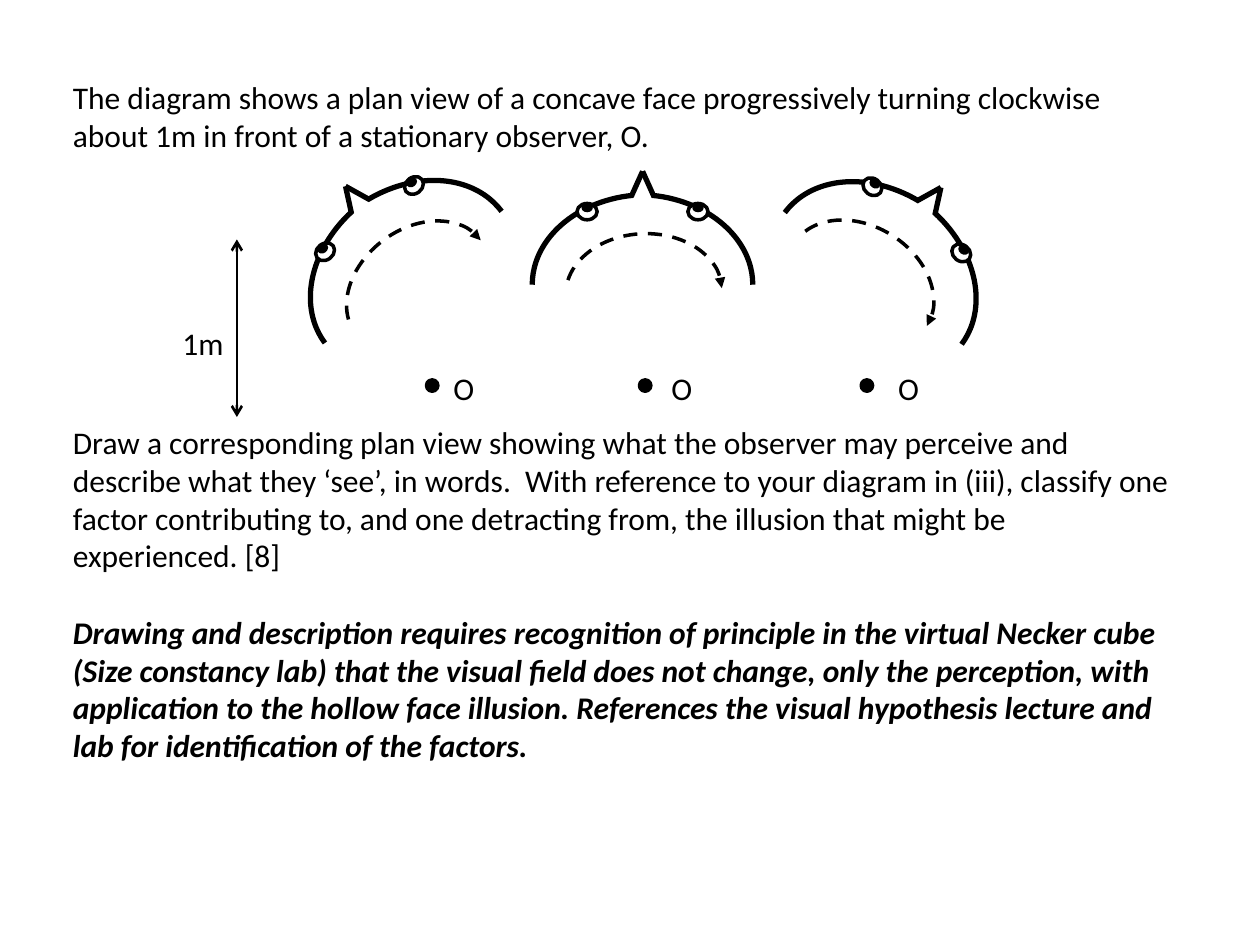
import math
from dataclasses import dataclass

import lxml.etree
import pptx
import pptx.dml.color
import pptx.enum.dml
import pptx.enum.shapes
import pptx.oxml.ns
import pptx.util

Inches = pptx.util.Inches
Pt = pptx.util.Pt
SHAPES = pptx.enum.shapes.MSO_SHAPE


@dataclass(frozen=True)
class Theme:
    ink: str = "000000"
    paper: str = "FFFFFF"
    font: str = "Calibri"
    text_size: float = 18
    text_line: float = 22
    face_line: float = 3
    detail_line: float = 2
    scale_line: float = 1.5


THEME = Theme()

INTRO = ("The diagram shows a plan view of a concave face progressively turning "
         "clockwise about 1m in front of a stationary observer, O. ")
TASK = ("Draw a corresponding plan view showing what the observer may perceive and "
        "describe what they ‘see’, in words.  With reference to your diagram in (iii), "
        "classify one factor contributing to, and one detracting from, the illusion "
        "that might be experienced. [8]")
ANSWER = ("Drawing and description requires recognition of principle in the virtual "
          "Necker cube (Size constancy lab) that the visual field does not change, only "
          "the perception, with application to the hollow face illusion. References the "
          "visual hypothesis lecture and lab for identification of the factors.")

FACES = [((3.28, 2.2), -36.7), ((5.1, 2.26), 0), ((6.93, 2.21), 36.7)]
TURNS = [((3.32, 2.28), -36.9), ((5.11, 2.32), -3), ((6.83, 2.26), 31.9)]
OBSERVERS = [(3.38, 3.5), (5.07, 5.23), (6.83, 7.03)]


def color(value):
    return pptx.dml.color.RGBColor.from_string(value)


def style_line(item, width):
    item.line.color.rgb = color(THEME.ink)
    item.line.width = Pt(width)


def add_arrowheads(item, **heads):
    for end in ("headEnd", "tailEnd"):
        if end in heads:
            lxml.etree.SubElement(item.line._get_or_add_ln(),
                                  pptx.oxml.ns.qn("a:" + end), type=heads[end])


def add_line(page, start, end, width):
    line = page.shapes.add_connector(pptx.enum.shapes.MSO_CONNECTOR.STRAIGHT,
                                     *map(Inches, start + end))
    style_line(line, width)
    lxml.etree.SubElement(line._element.spPr, pptx.oxml.ns.qn("a:effectLst"))
    return line


def add_centered(page, kind, center, size, angle=0, fill=None, width=None):
    left, top = (c - s / 2 for c, s in zip(center, size))
    shape = page.shapes.add_shape(kind, *map(Inches, (left, top) + size))
    shape.rotation = angle
    shape.shadow.inherit = False
    if fill:
        shape.fill.solid()
        shape.fill.fore_color.rgb = color(fill)
    else:
        shape.fill.background()
    if width:
        style_line(shape, width)
    else:
        shape.line.fill.background()
    return shape


def add_arc(page, center, size, angle, start, width):
    arc = add_centered(page, SHAPES.ARC, center, size, angle, width=width)
    arc.adjustments[0] = start
    arc.adjustments[1] = 0
    return arc


def turned(pivot, offset, angle):
    cos, sin = math.cos(math.radians(angle)), math.sin(math.radians(angle))
    x, y = offset
    return pivot[0] + x * cos - y * sin, pivot[1] + x * sin + y * cos


def add_face(page, pivot, angle):
    for side in (1, -1):
        def place(x, y):
            return turned(pivot, (side * x, y), angle)

        cheek = add_arc(page, place(-0.04, 0), (1.83, 1.43), angle, 167.513,
                        THEME.face_line)
        if side < 0:
            cheek._element.spPr.xfrm.set("flipH", "1")
        add_line(page, place(0.09, -0.7), place(0, -0.9), THEME.face_line)
        add_centered(page, SHAPES.OVAL, place(0.44, -0.58), (0.16, 0.13), angle,
                     THEME.paper, THEME.detail_line)
        add_centered(page, SHAPES.OVAL, place(0.44, -0.61), (0.09, 0.07), angle,
                     THEME.ink)


def add_turn(page, center, angle):
    arc = add_arc(page, center, (1.24, 0.93), angle, 115.257, THEME.detail_line)
    arc.line.dash_style = pptx.enum.dml.MSO_LINE.DASH
    add_arrowheads(arc, tailEnd="triangle")


def add_text(page, place, paragraphs, wrap=False):
    box = page.shapes.add_textbox(*map(Inches, place))
    frame = box.text_frame
    frame.word_wrap = wrap
    for index, (text, skipped_lines, strong) in enumerate(paragraphs):
        para = frame.add_paragraph() if index else frame.paragraphs[0]
        para.text = text
        para.space_before = Pt(skipped_lines * THEME.text_line)
        for span in para.runs:
            span.font.name = THEME.font
            span.font.size = Pt(THEME.text_size)
            span.font.color.rgb = color(THEME.ink)
            span.font.bold = span.font.italic = strong


def add_label(page, left, top, width, text):
    add_text(page, (left, top, width, 0.4), [(text, 0, False)])


def main():
    deck = pptx.Presentation()
    deck.slide_width, deck.slide_height = Inches(10), Inches(7.5)
    page = deck.slides.add_slide(deck.slide_layouts[6])
    add_text(page, (0.48, 0.57, 8.91, 5.86),
             [(INTRO, 0, False), (TASK, 7, False), (ANSWER, 1, True)], wrap=True)
    for pivot, angle in FACES:
        add_face(page, pivot, angle)
    for center, angle in TURNS:
        add_turn(page, center, angle)
    distance = add_line(page, (1.88, 1.9), (1.88, 3.31), THEME.scale_line)
    add_arrowheads(distance, headEnd="arrow", tailEnd="arrow")
    add_label(page, 1.35, 2.52, 0.53, "1m")
    for dot_left, label_left in OBSERVERS:
        add_centered(page, SHAPES.OVAL, (dot_left + 0.05, 3.06), (0.09, 0.09),
                     fill=THEME.ink, width=THEME.detail_line)
        add_label(page, label_left, 2.88, 0.37, "O")
    deck.save("out.pptx")


main()
